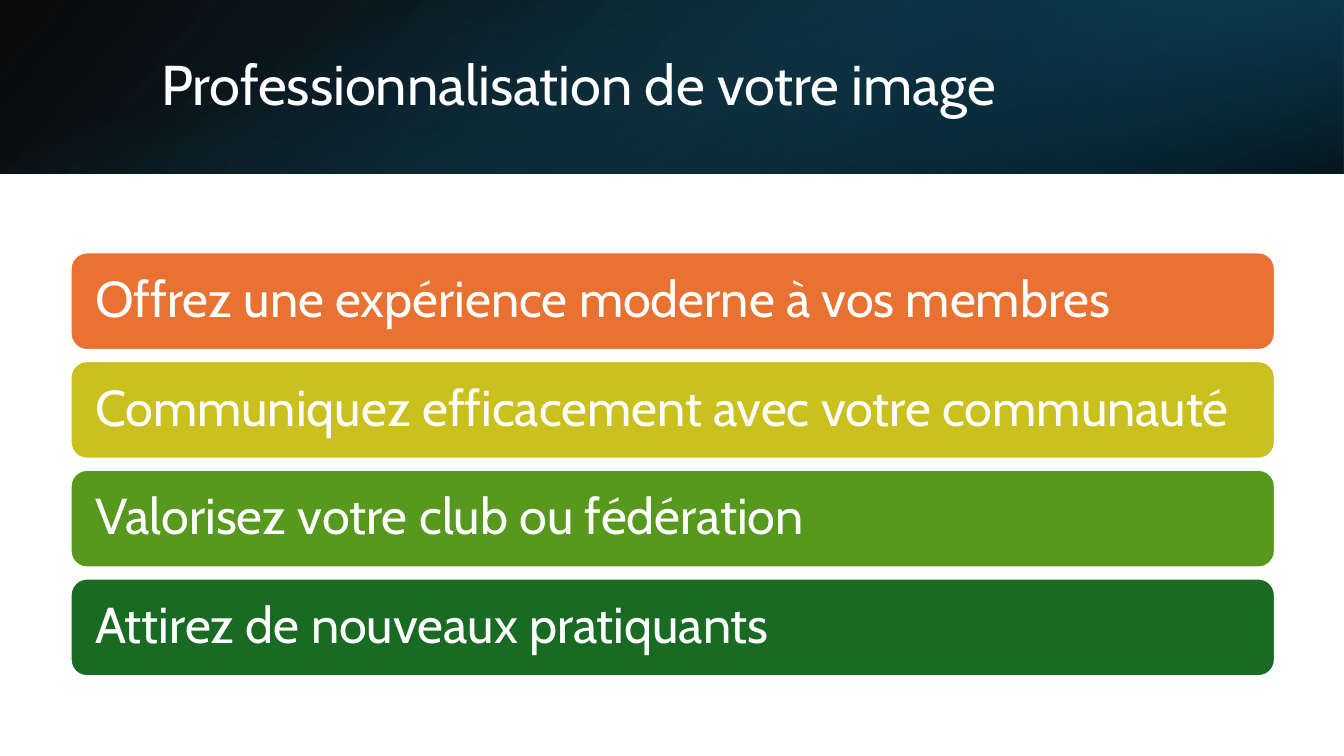
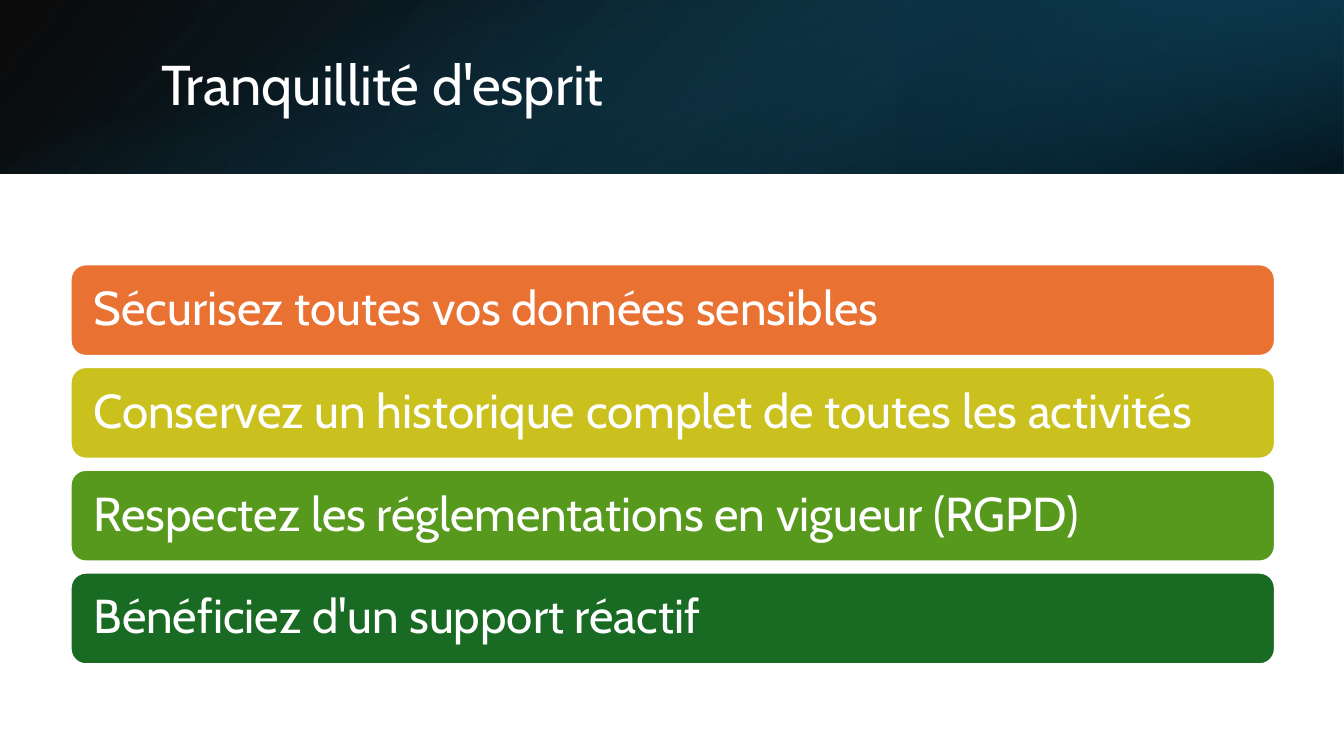
"""Build two slides of coloured statement bars under a gradient title band."""
import lxml.etree
import pptx
import pptx.dml.color
import pptx.enum.shapes
import pptx.enum.text
import pptx.oxml.ns
import pptx.util

Cm = pptx.util.Cm
Pt = pptx.util.Pt
SHAPES = pptx.enum.shapes.MSO_SHAPE
FONT = "Cabin"
COLORS = {
    "white": "FFFFFF", "black": "000000",
    "navy": "104862", "deep": "0B3041", "teal": "156082",
    "orange": "E97132", "yellow": "CBC11E", "green": "56991D", "forest": "196B24",
}
BAR_COLORS = ["orange", "yellow", "green", "forest"]

PAGE_WIDTH, PAGE_HEIGHT = 33.87, 19.05
BAND_HEIGHT = 4.37
GLOW_WIDTH = 11.29
TURNED_OFFSET = (PAGE_WIDTH - BAND_HEIGHT) / 2
BAND_LAYERS = [
    {"at": (0, 0, PAGE_WIDTH, BAND_HEIGHT), "turn": 0, "flip": True, "angle": 140,
     "stops": [(0, "black", 96), (100, "navy", 100)]},
    {"at": (PAGE_WIDTH - GLOW_WIDTH, 0, GLOW_WIDTH, BAND_HEIGHT), "turn": 180, "flip": True,
     "angle": 320, "stops": [(19, "deep", 68), (100, "teal", 79)]},
    {"at": (TURNED_OFFSET, -TURNED_OFFSET, BAND_HEIGHT, PAGE_WIDTH), "turn": 90, "flip": False,
     "angle": 340, "stops": [(23, "teal", 0), (99, "black", 74)]},
]

BAR_LEFT, BAR_WIDTH, BAR_GAP = 1.78, 30.35, 0.28
BARS_MIDDLE = 11.7
PAGES = [
    {"title": "Professionnalisation de votre image", "size": 36, "height": 2.46, "inset": 0.5,
     "bars": ["Offrez une expérience moderne à vos membres",
              "Communiquez efficacement avec votre communauté",
              "Valorisez votre club ou fédération",
              "Attirez de nouveaux pratiquants"]},
    {"title": "Tranquillité d'esprit", "size": 34, "height": 2.31, "inset": 0.47,
     "bars": ["Sécurisez toutes vos données sensibles",
              "Conservez un historique complet de toutes les activités",
              "Respectez les réglementations en vigueur (RGPD)",
              "Bénéficiez d'un support réactif"]},
]


def rgb(name):
    return pptx.dml.color.RGBColor.from_string(COLORS[name])


def write(box, text, size, inset):
    frame = box.text_frame
    frame.word_wrap = True
    frame.vertical_anchor = pptx.enum.text.MSO_ANCHOR.MIDDLE
    frame.margin_left = frame.margin_right = Cm(inset)
    frame.margin_top = frame.margin_bottom = 0
    frame.text = text
    para = frame.paragraphs[0]
    para.alignment = pptx.enum.text.PP_ALIGN.LEFT
    para.line_spacing = 0.9
    span = para.runs[0]
    span.font.name = FONT
    span.font.size = Pt(size)
    span.font.color.rgb = rgb("white")


deck = pptx.Presentation()
deck.slide_width, deck.slide_height = Cm(PAGE_WIDTH), Cm(PAGE_HEIGHT)

for content in PAGES:
    page = deck.slides.add_slide(deck.slide_layouts[6])

    for layer in BAND_LAYERS:
        band = page.shapes.add_shape(SHAPES.RECTANGLE, *map(Cm, layer["at"]))
        band.shadow.inherit = False
        band.line.fill.background()
        band.rotation = layer["turn"]
        if layer["flip"]:
            band._element.spPr.xfrm.set("flipH", "1")
        band.fill.gradient()
        band.fill.gradient_angle = 360 - layer["angle"]
        for stop, (position, color, _) in zip(band.fill.gradient_stops, layer["stops"]):
            stop.position = position / 100
            stop.color.rgb = rgb(color)
        tints = band._element.spPr.iter(pptx.oxml.ns.qn("a:srgbClr"))
        for tint, (_, _, opacity) in zip(tints, layer["stops"]):
            alpha = lxml.etree.SubElement(tint, pptx.oxml.ns.qn("a:alpha"))
            alpha.set("val", str(opacity * 1000))

    title = page.shapes.add_textbox(Cm(3.81), Cm(0.97), Cm(27.89), Cm(2.44))
    write(title, content["title"], 40, 0.25)

    height = content["height"]
    pitch = height + BAR_GAP
    top = BARS_MIDDLE - (len(content["bars"]) * pitch - BAR_GAP) / 2
    for row, (text, color) in enumerate(zip(content["bars"], BAR_COLORS)):
        bar = page.shapes.add_shape(SHAPES.ROUNDED_RECTANGLE, Cm(BAR_LEFT), Cm(top + row * pitch),
                                    Cm(BAR_WIDTH), Cm(height))
        bar.shadow.inherit = False
        bar.fill.solid()
        bar.fill.fore_color.rgb = rgb(color)
        bar.line.color.rgb = rgb("white")
        bar.line.width = Pt(1.5)
        write(bar, text, content["size"], content["inset"])

deck.save("out.pptx")
